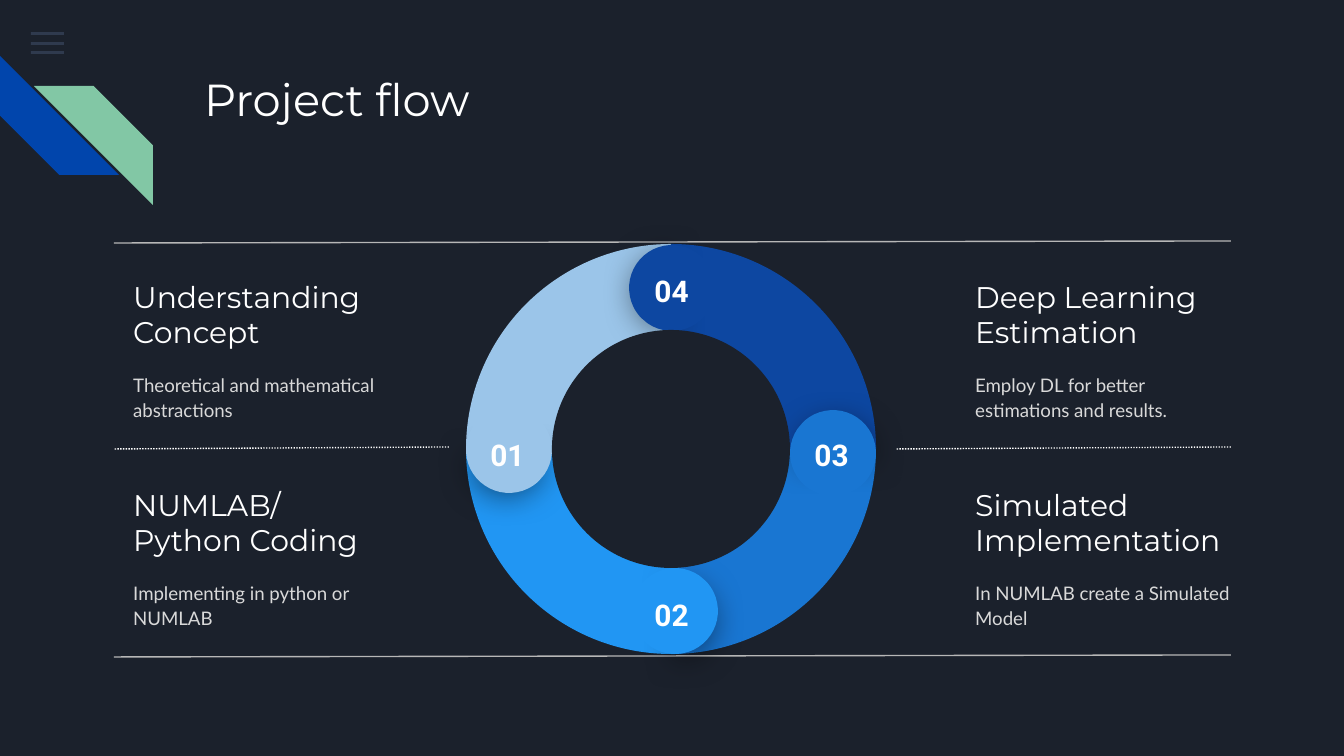
import dataclasses

import lxml.etree
import pptx
import pptx.dml.color
import pptx.enum.dml
import pptx.enum.shapes
import pptx.enum.text
import pptx.oxml
import pptx.oxml.ns
import pptx.util

SHAPE = pptx.enum.shapes.MSO_SHAPE
ANCHOR = pptx.enum.text.MSO_ANCHOR
ALIGN = pptx.enum.text.PP_ALIGN
qn = pptx.oxml.ns.qn
EMU_PER_PX = 914400 / 134.4


@dataclasses.dataclass(frozen=True)
class Theme:
    """Colours, fonts and type sizes of the page."""
    background: str = "1B212C"
    bar: str = "55688B"
    stripe_blue: str = "0145AC"
    stripe_green: str = "82C7A5"
    white: str = "FFFFFF"
    body: str = "D9D9D9"
    rule: str = "B7B7B7"
    shadow: str = "000000"
    heading_font: str = "Montserrat"
    body_font: str = "Lato"
    number_font: str = "Roboto"
    title_size: int = 24
    heading_size: int = 16
    body_size: int = 10
    line_width: float = 0.75


@dataclasses.dataclass(frozen=True)
class Step:
    """One quarter of the ring with its rounded cap and number."""
    number: str
    color: str
    turn: int
    outward: tuple
    cap: tuple
    label: tuple


THEME = Theme()
STEPS = [
    Step("01", "9BC5E9", 0, (-1, 0), (466, 407), (470, 423)),
    Step("02", "2196F3", 270, (0, 1), (632, 568), (634, 583)),
    Step("03", "1976D2", 180, (1, 0), (790, 410), (794, 423)),
    Step("04", "0D47A1", 90, (0, -1), (629, 245), (634, 259)),
]
TOPICS = [
    (120, 0, 273, "Understanding Concept", "Theoretical and mathematical abstractions"),
    (120, 1, 273, "NUMLAB/ Python Coding", "Implementing in python or NUMLAB"),
    (962, 0, 293, "Deep Learning Estimation", "Employ DL for better estimations and results."),
    (962, 1, 293, "Simulated Implementation", "In NUMLAB create a Simulated Model"),
]
TOPIC_TOP = 281
TOPIC_STEP = 208
RING = (466, 244, 410)
HOLE = (552, 330, 238)
CAP_SIZE = 86
CAP_SHADOW_SIZE = 76


def px(value):
    """Turn whole px into EMU."""
    return pptx.util.Emu(round(value * EMU_PER_PX))


def rgb(color):
    """Return the colour object of a hex string."""
    return pptx.dml.color.RGBColor.from_string(color)


def add_figure(page, kind, left, top, width, height, color, turn=0, adjust=()):
    """Add a preset shape with a plain fill and no outline."""
    figure = page.shapes.add_shape(kind, px(left), px(top), px(width), px(height))
    figure.shadow.inherit = False
    figure.fill.solid()
    figure.fill.fore_color.rgb = rgb(color)
    figure.line.fill.background()
    figure.rotation = turn
    for index, value in enumerate(adjust):
        figure.adjustments[index] = value
    return figure


def add_text(page, text, left, top, width, height, *, font, size, color,
             bold=False, align=ALIGN.LEFT, anchor=ANCHOR.TOP, spacing=None, after=None):
    """Add a wrapped text box holding one formatted paragraph."""
    box = page.shapes.add_textbox(px(left), px(top), px(width), px(height))
    frame = box.text_frame
    frame.word_wrap = True
    frame.vertical_anchor = anchor
    for side in ("left", "right", "top", "bottom"):
        setattr(frame, f"margin_{side}", pptx.util.Inches(0.1))
    para = frame.paragraphs[0]
    para.alignment = align
    if spacing is not None:
        para.line_spacing = spacing
    if after is not None:
        para.space_after = pptx.util.Pt(after)
    span = para.add_run()
    span.text = text
    span.font.name = font
    span.font.size = pptx.util.Pt(size)
    span.font.bold = bold
    span.font.color.rgb = rgb(color)
    return box


def add_rule(page, right, left, top, color, dotted=False):
    """Add a thin line that falls 2 px from right to left."""
    rule = page.shapes.add_connector(pptx.enum.shapes.MSO_CONNECTOR.STRAIGHT,
                                     px(right), px(top), px(left), px(top + 2))
    rule.line.color.rgb = rgb(color)
    rule.line.width = pptx.util.Pt(THEME.line_width)
    if dotted:
        rule.line.dash_style = pptx.enum.dml.MSO_LINE.ROUND_DOT
    lxml.etree.SubElement(rule.element.spPr, qn("a:effectLst"))


def add_alpha(color_element, percent):
    """Make a colour element partly transparent."""
    alpha = lxml.etree.SubElement(color_element, qn("a:alpha"))
    alpha.set("val", str(percent * 1000))


def add_shadow(figure):
    """Give a shape a soft shadow that falls downwards."""
    effects = figure.element.spPr.find(qn("a:effectLst"))
    shadow = lxml.etree.SubElement(effects, qn("a:outerShdw"))
    shadow.set("blurRad", str(pptx.util.Pt(18)))
    shadow.set("dist", str(pptx.util.Pt(4)))
    shadow.set("dir", str(90 * 60000))
    shadow.set("rotWithShape", "0")
    color = lxml.etree.SubElement(shadow, qn("a:srgbClr"))
    color.set("val", THEME.shadow)
    add_alpha(color, 55)


def add_corner(page):
    """Add the menu bars and the two diagonal stripes."""
    for top in (32, 42, 51):
        bar = add_figure(page, SHAPE.RECTANGLE, 31, top, 33, 3, THEME.bar)
        add_alpha(next(bar.element.spPr.iter(qn("a:srgbClr"))), 36)
    add_figure(page, SHAPE.DIAGONAL_STRIPE, 0, 56, 119, 119, THEME.stripe_blue, 270, [0.5])
    green = add_figure(page, SHAPE.DIAGONAL_STRIPE, 34, 86, 119, 119,
                       THEME.stripe_green, adjust=[0.5])
    green.element.spPr.xfrm.set("flipH", "1")


def add_topic(page, left, row, width, heading, body):
    """Add a heading with its description below."""
    top = TOPIC_TOP + row * TOPIC_STEP
    add_text(page, heading, left, top, width, 66, font=THEME.heading_font,
             size=THEME.heading_size, color=THEME.white, anchor=ANCHOR.MIDDLE)
    add_text(page, body, left, top + 64, 293, 102, font=THEME.body_font,
             size=THEME.body_size, color=THEME.body, anchor=ANCHOR.MIDDLE,
             spacing=1.15, after=16)


def add_cap(page, step):
    """Add the shadowed round end of a quarter and its number."""
    inset = (CAP_SIZE - CAP_SHADOW_SIZE) // 2
    left, top = (edge + inset + 3 * way for edge, way in zip(step.cap, step.outward))
    half = add_figure(page, SHAPE.PIE, left, top, CAP_SHADOW_SIZE, CAP_SHADOW_SIZE,
                      step.color, step.turn + 39.5, [189.54, 83.81])
    add_shadow(half)
    add_figure(page, SHAPE.CHORD, *step.cap, CAP_SIZE, CAP_SIZE, step.color,
               step.turn + 4.1, [25.01, 18.12])
    add_text(page, step.number, *step.label, 75, 39, font=THEME.number_font,
             size=THEME.heading_size, color=THEME.white, bold=True, align=ALIGN.CENTER)


def add_ring(page):
    """Add the four quarters, their caps and the hole."""
    left, top, size = RING
    for step in sorted(STEPS, key=lambda step: step.turn):
        add_figure(page, SHAPE.PIE, left, top, size, size, step.color, step.turn, [108, 162])
    for step in STEPS:
        add_cap(page, step)
    left, top, size = HOLE
    add_figure(page, SHAPE.OVAL, left, top, size, size, THEME.background)


def main():
    """Build the page and save the deck."""
    deck = pptx.Presentation()
    deck.slide_width, deck.slide_height = px(1344), px(756)
    page = deck.slides.add_slide(deck.slide_layouts[6])
    page.background.fill.solid()
    page.background.fill.fore_color.rgb = rgb(THEME.background)
    add_corner(page)
    add_text(page, "Project flow", 191, 58, 1035, 134, font=THEME.heading_font,
             size=THEME.title_size, color=THEME.white)
    for topic in TOPICS:
        add_topic(page, *topic)
    add_rule(page, 1231, 114, 241, THEME.rule)
    add_rule(page, 449, 114, 447, THEME.white, dotted=True)
    add_rule(page, 1231, 896, 447, THEME.white, dotted=True)
    add_rule(page, 1231, 114, 655, THEME.rule)
    add_ring(page)
    deck.save("out.pptx")


if __name__ == "__main__":
    main()
